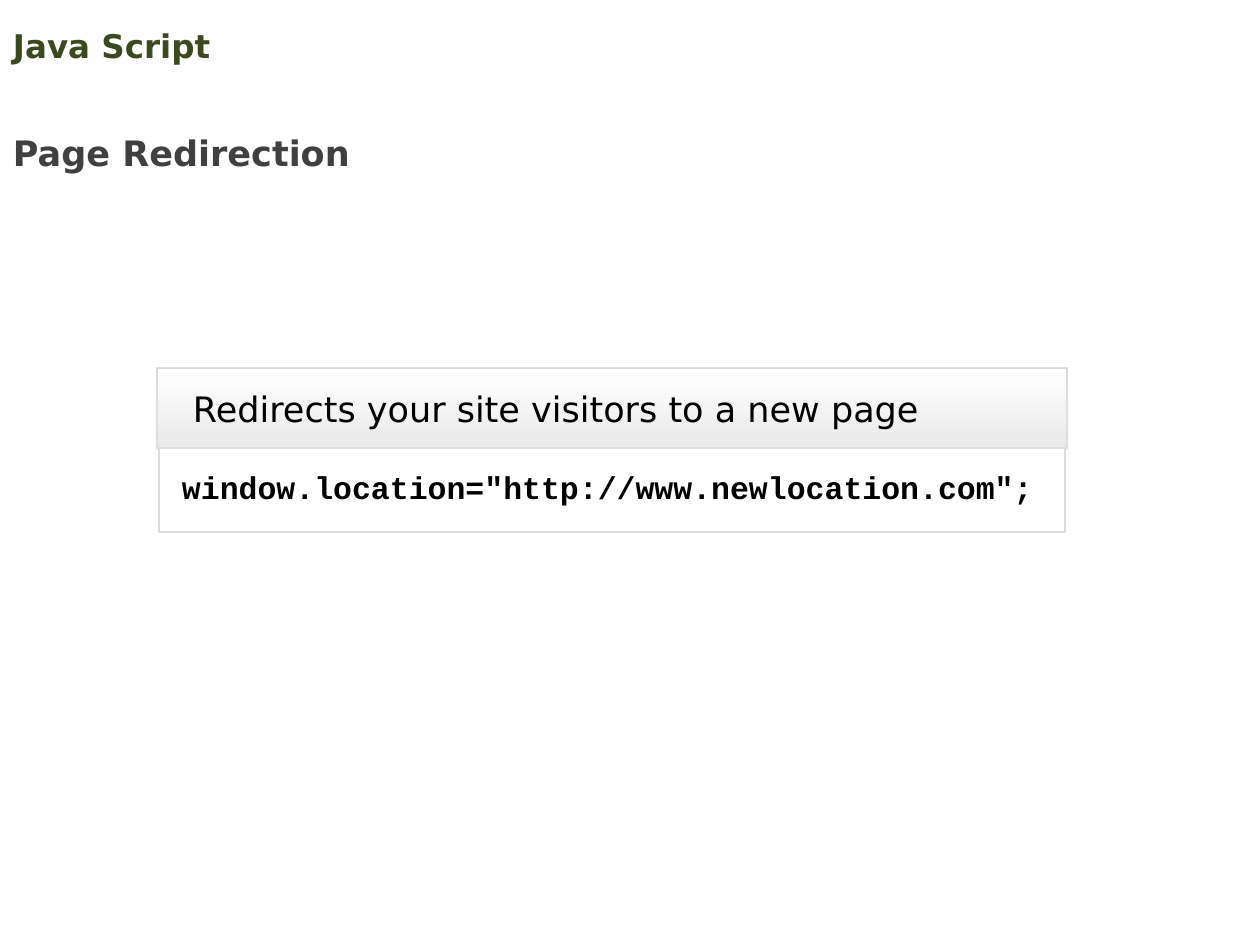
from dataclasses import dataclass

from pptx import Presentation
from pptx.dml.color import RGBColor
from pptx.enum.shapes import MSO_SHAPE as Shape
from pptx.enum.text import MSO_ANCHOR as Anchor, MSO_AUTO_SIZE as AutoSize, PP_ALIGN as Align
from pptx.util import Emu, Pt


@dataclass(frozen=True)
class Theme:
    """Colours, fonts and type sizes of the slide."""
    olive: str = "3B4A1E"
    gray: str = "404040"
    black: str = "000000"
    border: str = "DDDDDD"
    shade: tuple = ("FFFFFF", "EAEAEA")
    sans: str = "DejaVu Sans"
    mono: str = "Courier New"
    title_size: float = 18.6
    heading_size: float = 20
    code_size: float = 18
    code_leading: float = 25


THEME = Theme()


def px(count):
    """Turn pixels into EMU."""
    return Emu(round(count * 914400 / 126))


def rgb(value):
    """Turn a hex string into a colour."""
    return RGBColor.from_string(value)


def place(item, left, top, width, height):
    """Move and size a slide object."""
    item.left, item.top, item.width, item.height = map(px, (left, top, width, height))


def write(item, text, size, color, font=THEME.sans, bold=True, anchor=Anchor.MIDDLE,
          margins=(13, 6), align=Align.LEFT, spacing=1.0, indent=0):
    """Set and format the single paragraph of an object."""
    frame = item.text_frame
    frame.text = text
    frame.word_wrap = True
    frame.auto_size = AutoSize.NONE
    frame.vertical_anchor = anchor
    frame.margin_left = frame.margin_right = px(margins[0])
    frame.margin_top = frame.margin_bottom = px(margins[1])
    para = frame.paragraphs[0]
    para.alignment = align
    para.line_spacing = spacing
    para._p.get_or_add_pPr().set("marL", str(px(indent)))
    span = para.runs[0].font
    span.name, span.size, span.bold = font, Pt(size), bold
    span.color.rgb = rgb(color)


def add_panel(page, bounds, shade=None):
    """Add a bordered rectangle, with a vertical gradient if one is given."""
    panel = page.shapes.add_shape(Shape.RECTANGLE, *map(px, bounds))
    panel.shadow.inherit = False
    panel.line.color.rgb = rgb(THEME.border)
    panel.line.width = Pt(1)
    if shade:
        panel.fill.gradient()
        panel.fill.gradient_angle = 270
        for stop, color, position in zip(panel.fill.gradient_stops, shade, (0, 1)):
            stop.color.rgb = rgb(color)
            stop.position = position
    else:
        panel.fill.background()
    return panel


def main():
    """Build and save the slide."""
    deck = Presentation()
    deck.slide_width, deck.slide_height = px(1260), px(945)
    page = deck.slides.add_slide(deck.slide_layouts[5])

    title = page.shapes.title
    place(title, 0, 18, 1134, 54)
    write(title, "Java Script", THEME.title_size, THEME.olive)

    heading = page.shapes.add_textbox(*map(px, (0, 105, 707, 76)))
    write(heading, "Page Redirection", THEME.heading_size, THEME.gray,
          anchor=Anchor.TOP, spacing=1.5)

    code = add_panel(page, (159, 436, 906, 96))
    write(code, 'window.location="http://www.newlocation.com";', THEME.code_size, THEME.black,
          font=THEME.mono, margins=(0, 13), spacing=Pt(THEME.code_leading), indent=23)

    caption = add_panel(page, (157, 368, 910, 80), THEME.shade)
    write(caption, "Redirects your site visitors to a new page", THEME.heading_size, THEME.black,
          bold=False, margins=(13, 13), align=Align.JUSTIFY,
          spacing=Pt(THEME.code_leading), indent=23)

    deck.save("out.pptx")


if __name__ == "__main__":
    main()
